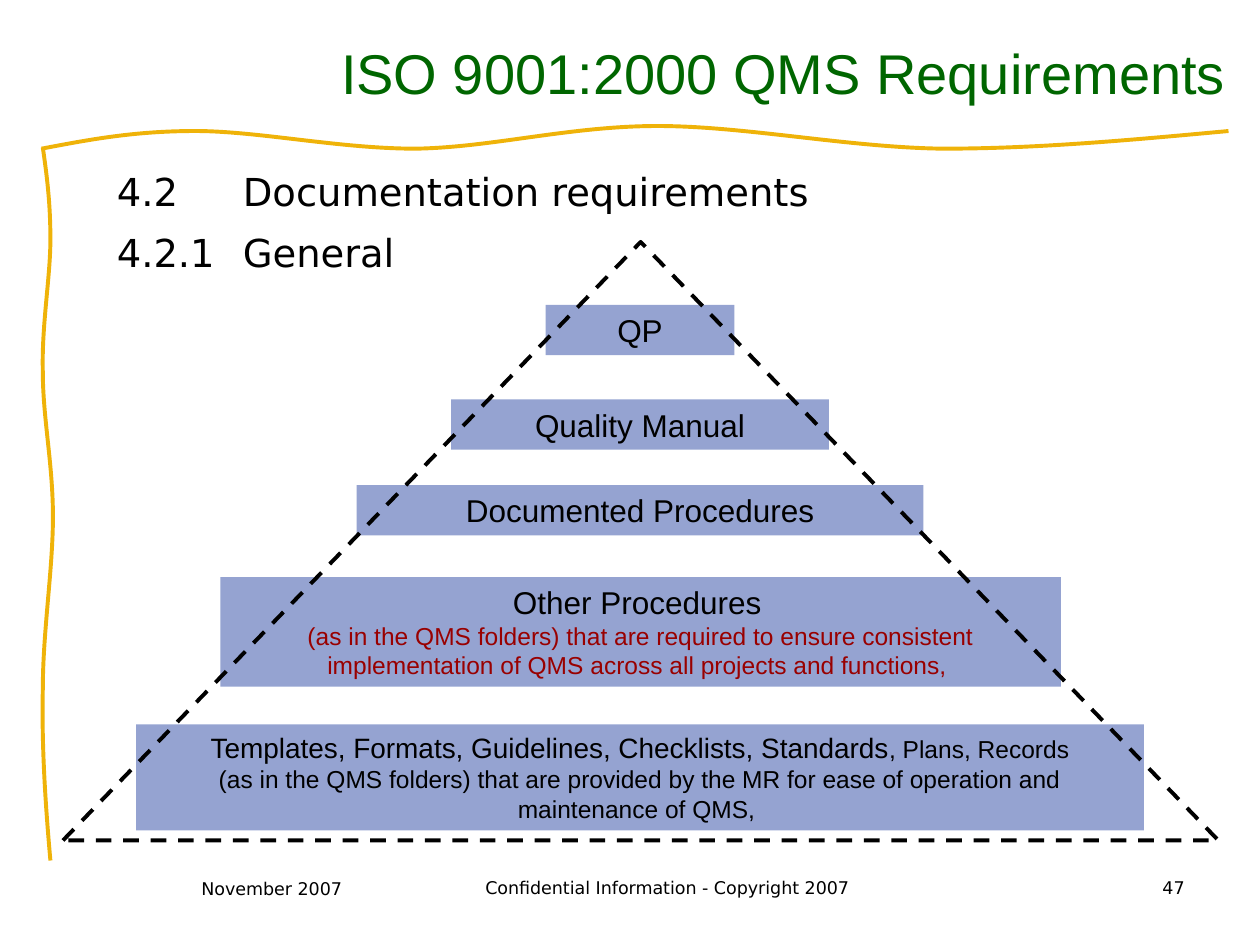
from dataclasses import dataclass

from lxml import etree
from pptx import Presentation
from pptx.dml.color import RGBColor
from pptx.enum.dml import MSO_LINE
from pptx.enum.shapes import MSO_SHAPE
from pptx.enum.text import MSO_ANCHOR, MSO_AUTO_SIZE, PP_ALIGN
from pptx.oxml.ns import qn
from pptx.util import Emu, Pt

EMU_PER_PX = 9144
LEFT, CENTER, RIGHT = PP_ALIGN.LEFT, PP_ALIGN.CENTER, PP_ALIGN.RIGHT
TOP, MIDDLE = MSO_ANCHOR.TOP, MSO_ANCHOR.MIDDLE
RECTANGLE, TRIANGLE = MSO_SHAPE.RECTANGLE, MSO_SHAPE.FLOWCHART_EXTRACT
DASH = MSO_LINE.DASH
GROW = MSO_AUTO_SIZE.SHAPE_TO_FIT_TEXT
SANS, WIDE = "Arial", "DejaVu Sans"
BLACK, GREEN, RED, BLUE, GOLD = "000000", "006600", "990000", "95A3D1", "EFB309"
PYRAMID_CENTER = 508

Point = tuple[int, int]


@dataclass(frozen=True)
class Span:
    text: str
    size: int
    color: str = BLACK
    font: str = SANS


@dataclass(frozen=True)
class Box:
    left: int
    top: int
    width: int
    height: int


@dataclass(frozen=True)
class Label:
    box: Box
    span: Span
    align: PP_ALIGN = LEFT
    anchor: MSO_ANCHOR = TOP


@dataclass(frozen=True)
class Level:
    top: int
    width: int
    height: int
    lines: tuple[tuple[Span, ...], ...]


LABELS = (
    Label(Box(133, 14, 850, 86), Span("ISO 9001:2000 QMS Requirements", 32, GREEN), RIGHT, MIDDLE),
    Label(Box(367, 691, 325, 50), Span("Confidential Information - Copyright 2007", 10, font=WIDE), CENTER),
    Label(Box(742, 691, 208, 50), Span("47", 10, font=WIDE), RIGHT),
    Label(Box(150, 692, 133, 50), Span("November 2007", 10, font=WIDE)),
)
LEVELS = (
    Level(242, 150, 40, ((Span("QP", 18),),)),
    Level(317, 300, 40, ((Span("Quality Manual", 18),),)),
    Level(385, 450, 40, ((Span("Documented Procedures", 18),),)),
    Level(458, 667, 87, (
        (Span("Other Procedures", 18), Span(" ", 14)),
        (Span("(as in the QMS folders) that are required to ensure consistent "
              "implementation of QMS across all projects and functions, ", 14, RED),),
    )),
    Level(575, 800, 84, (
        (Span("Templates, Formats, Guidelines, Checklists, Standards", 16), Span(", Plans, Records", 14)),
        (Span("(as in the QMS folders) that are provided by the MR for ease of operation "
              "and maintenance of QMS, ", 14),),
    )),
)
CLAUSES = ("4.2 \tDocumentation requirements", "4.2.1\tGeneral")
TOP_WAVE = (
    (33, 118), (70, 111), (106, 104), (155, 104), (205, 104), (269, 118), (330, 118),
    (391, 117), (452, 100), (522, 100), (591, 100), (673, 117), (748, 118),
    (824, 118), (899, 111), (975, 104),
)
SIDE_WAVE = (
    (34, 117), (37, 138), (40, 160), (40, 190), (40, 220), (33, 258), (34, 295),
    (34, 332), (42, 368), (42, 410), (42, 452), (34, 501), (34, 547),
    (33, 592), (36, 638), (40, 683),
)


def px(value: int) -> Emu:
    return Emu(value * EMU_PER_PX)


def rgb(value: str) -> RGBColor:
    return RGBColor.from_string(value)


def place(box: Box) -> tuple[Emu, Emu, Emu, Emu]:
    return px(box.left), px(box.top), px(box.width), px(box.height)


def style_font(font, span: Span) -> None:
    font.name = span.font
    font.size = Pt(span.size)
    font.color.rgb = rgb(span.color)


def write_line(para, spans: tuple[Span, ...], align: PP_ALIGN) -> None:
    para.alignment = align
    for span in spans:
        run = para.add_run()
        run.text = span.text
        if len(spans) > 1:
            style_font(run.font, span)
    if len(spans) == 1:
        style_font(para.font, spans[0])


def style_outline(shape, color: str) -> None:
    shape.shadow.inherit = False
    shape.fill.background()
    shape.line.color.rgb = rgb(color)
    shape.line.width = Pt(2.25)


def draw_wave(page, points: tuple[Point, ...]) -> None:
    builder = page.shapes.build_freeform(*points[0], scale=EMU_PER_PX)
    builder.add_line_segments(points[1:], close=False)
    shape = builder.convert_to_shape()
    segments = list(shape._element.iter(qn("a:lnTo")))
    for start in range(0, len(segments), 3):
        curve = etree.Element(qn("a:cubicBezTo"))
        segments[start].addprevious(curve)
        for segment in segments[start:start + 3]:
            curve.append(segment[0])
            segment.getparent().remove(segment)
    style_outline(shape, GOLD)


def draw_label(page, label: Label) -> None:
    frame = page.shapes.add_textbox(*place(label.box)).text_frame
    frame.word_wrap = True
    frame.vertical_anchor = label.anchor
    write_line(frame.paragraphs[0], (label.span,), label.align)


def draw_level(page, level: Level) -> None:
    box = Box(PYRAMID_CENTER - level.width // 2, level.top, level.width, level.height)
    shape = page.shapes.add_shape(RECTANGLE, *place(box))
    shape.shadow.inherit = False
    shape.fill.solid()
    shape.fill.fore_color.rgb = rgb(BLUE)
    shape.line.fill.background()
    frame = shape.text_frame
    frame.word_wrap = True
    frame.auto_size = GROW
    frame.vertical_anchor = TOP
    for index, spans in enumerate(level.lines):
        para = frame.add_paragraph() if index else frame.paragraphs[0]
        write_line(para, spans, CENTER)


def draw_clauses(page, box: Box) -> None:
    frame = page.shapes.add_textbox(*place(box)).text_frame
    frame.word_wrap = True
    for index, text in enumerate(CLAUSES):
        para = frame.add_paragraph() if index else frame.paragraphs[0]
        para.line_spacing = 1.1
        para.space_before = Pt(5.5 if index else 0)
        properties = para._p.get_or_add_pPr()
        properties.set("marL", str(px(50)))
        properties.set("indent", str(px(-50)))
        tabs = etree.SubElement(properties, qn("a:tabLst"))
        etree.SubElement(tabs, qn("a:tab"), pos=str(px(150)), algn="l")
        write_line(para, (Span(text, 22, font=WIDE),), LEFT)


def main() -> None:
    deck = Presentation()
    deck.slide_width, deck.slide_height = px(1000), px(750)
    page = deck.slides.add_slide(deck.slide_layouts[6])
    for wave in (TOP_WAVE, SIDE_WAVE):
        draw_wave(page, wave)
    draw_clauses(page, Box(83, 125, 900, 545))
    for level in LEVELS:
        draw_level(page, level)
    triangle = page.shapes.add_shape(TRIANGLE, *place(Box(50, 192, 917, 475)))
    style_outline(triangle, BLACK)
    triangle.line.dash_style = DASH
    for label in LABELS:
        draw_label(page, label)
    deck.save("out.pptx")


if __name__ == "__main__":
    main()
